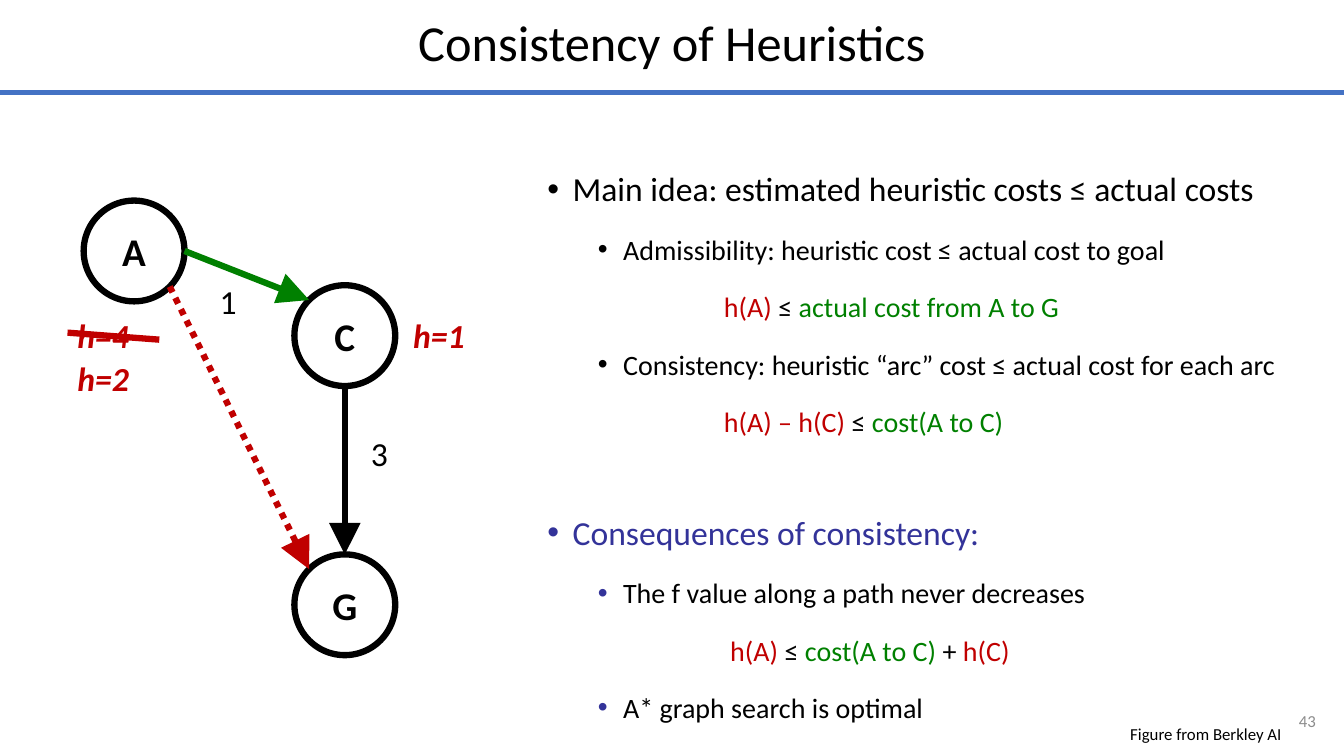
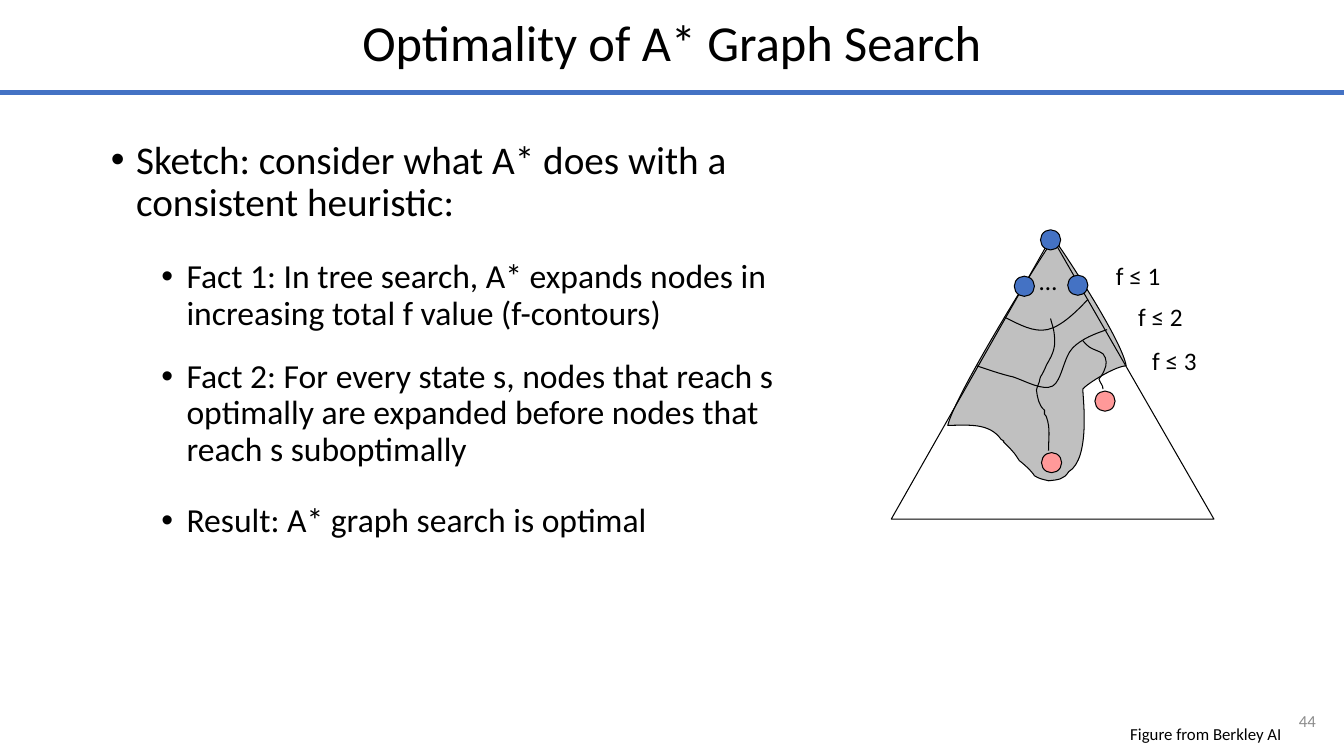
from math import cos, radians, sin

from lxml.etree import SubElement
from pptx import Presentation
from pptx.dml.color import RGBColor
from pptx.enum.dml import MSO_LINE_DASH_STYLE as Dash
from pptx.enum.shapes import MSO_CONNECTOR as Connector, MSO_SHAPE as Shape
from pptx.enum.text import MSO_ANCHOR as Anchor, MSO_AUTO_SIZE as AutoSize, PP_ALIGN as Align
from pptx.oxml.ns import qn
from pptx.util import Inches, Pt

WIDTH, HEIGHT = 13.33, 7.5
FONT = "Calibri"
BLACK, WHITE, GRAY, SILVER = "000000", "FFFFFF", "8C8C8C", "C0C0C0"
BLUE, NAVY, RED, GREEN, PINK = "4472C4", "333399", "C00000", "008000", "FF9999"
CREDIT = "Figure from Berkley AI"

# Lists: (kind, bullet colour, space before, [(text, colour), ...])
CONSISTENCY = [
    ("main", BLACK, 0, [("Main idea: estimated heuristic costs ≤ actual costs", BLACK)]),
    ("sub", BLACK, 5, [("Admissibility: heuristic cost ≤ actual cost to goal", BLACK)]),
    ("formula", None, 5, [("h(A) ", RED), ("≤ ", BLACK), ("actual cost from A to G", GREEN)]),
    ("sub", BLACK, 5,
     [("Consistency: heuristic “arc” cost ≤ actual cost for each arc", BLACK)]),
    ("formula", None, 5, [("h(A) – h(C) ", RED), ("≤ ", BLACK), ("cost(A to C)", GREEN)]),
    ("main", NAVY, 38, [("Consequences of consistency:", NAVY)]),
    ("sub", NAVY, 5, [("The f value along a path never decreases", BLACK)]),
    ("formula", None, 5, [(" h(A) ", RED), ("≤ ", BLACK), ("cost(A to C) ", GREEN),
                          ("+ ", BLACK), ("h(C)", RED)]),
    ("sub", NAVY, 5, [("A* graph search is optimal", BLACK)]),
]
OPTIMALITY = [
    ("main", BLACK, 0, [("Sketch: consider what A* does with a consistent heuristic:", BLACK)]),
    ("sub", BLACK, 25, [("Fact 1: In tree search, A* expands nodes in increasing total "
                         "f value (f-contours)", BLACK)]),
    ("sub", BLACK, 19.5, [("Fact 2: For every state s, nodes that reach s optimally are "
                           "expanded before nodes that reach s suboptimally", BLACK)]),
    ("sub", BLACK, 25, [("Result: A* graph search is optimal", BLACK)]),
]
INDENTS = {"main": (0.25, -0.25), "sub": (0.75, -0.25), "formula": (1.75, 0)}

# Graph: node centres, arrows (from, angle, to, angle, colour, dash), labels
RADIUS = 0.5
NODES = {"A": (1.33, 2.49), "C": (3.42, 3.33), "G": (3.42, 6)}
ARROWS = [
    ("C", 90, "G", 270, BLACK, None),
    ("A", 45, "G", 225, RED, Dash.ROUND_DOT),
    ("A", 0, "C", 225, GREEN, None),
]
COSTS = [("1", 2.08, 2.74), ("3", 3.58, 4.25)]
ESTIMATES = [("h=4", 0.67, 3.08), ("h=2", 0.67, 3.5), ("h=1", 4, 3.08)]

# Search tree: each curve is a start point, then Bezier triples
EXPANDED = [(10.51, 2.45),
            (10.64, 2.64), (11.13, 3.39), (11.17, 3.63),
            (11.07, 3.63), (10.79, 3.8), (10.74, 3.86),
            (10.74, 3.94), (10.82, 4.55), (10.6, 4.68),
            (10.55, 4.76), (10.49, 4.76), (10.4, 4.77),
            (10.32, 4.75), (10.31, 4.75), (10.26, 4.72),
            (10.23, 4.67), (10.15, 4.6), (10.11, 4.57),
            (10.05, 4.48), (10.08, 4.52), (10.01, 4.44),
            (9.88, 4.32), (10.01, 4.41), (9.93, 4.36),
            (9.81, 4.19), (9.6, 4.22), (9.4, 4.22),
            (9.48, 3.91), (10.2, 2.75), (10.39, 2.46),
            (10.57, 2.17), (10.48, 2.45), (10.51, 2.45)]
TRIANGLE = [(8.84, 5.15), (12.04, 5.15), (10.43, 2.35)]
LONG_PATH = [(10.42, 3.16),
             (10.43, 3.2), (10.44, 3.23), (10.45, 3.27),
             (10.48, 3.44), (10.45, 3.5), (10.38, 3.62),
             (10.36, 3.67), (10.34, 3.71), (10.32, 3.74),
             (10.3, 3.81), (10.32, 3.76), (10.3, 3.81),
             (10.29, 3.83), (10.28, 3.87), (10.28, 3.87),
             (10.29, 3.94), (10.3, 4.02), (10.36, 4.07),
             (10.36, 4.09), (10.36, 4.1), (10.36, 4.11),
             (10.37, 4.12), (10.38, 4.13), (10.38, 4.14),
             (10.42, 4.25), (10.4, 4.35), (10.4, 4.47)]
SHORT_PATH = [(10.74, 3.38),
              (10.76, 3.4), (10.77, 3.42), (10.8, 3.44),
              (10.84, 3.47), (10.9, 3.48), (10.94, 3.51),
              (10.98, 3.56), (10.98, 3.62), (10.95, 3.68),
              (10.94, 3.71), (10.9, 3.76), (10.9, 3.76),
              (10.91, 3.8), (10.94, 3.82), (10.94, 3.86)]
CONTOUR_2 = [(10.98, 3.27),
             (10.86, 3.31), (10.73, 3.36), (10.64, 3.45),
             (10.55, 3.54), (10.53, 3.78), (10.44, 3.83),
             (10.34, 3.88), (10.17, 3.78), (10.05, 3.74),
             (9.92, 3.71), (9.81, 3.67), (9.69, 3.63)]
CONTOUR_1 = [(10.79, 2.97),
             (10.66, 3.11), (10.52, 3.24), (10.39, 3.27),
             (10.25, 3.3), (10.11, 3.22), (9.97, 3.15)]
STATES = [(10.42, 2.38, BLUE), (10.16, 2.84, BLUE), (10.69, 2.83, BLUE),
          (10.96, 3.98, PINK), (10.43, 4.59, PINK)]
TREE_LABELS = [("…", 10.21, 2.58, 0.3), ("f ≤ 1", 10.97, 2.53, 0.9),
               ("f ≤ 2", 11.19, 2.94, 0.9), ("f ≤ 3", 11.33, 3.38, 0.9)]


def color(code):
    return RGBColor.from_string(code)


def place(shape, left, top, width, height):
    shape.left, shape.top = Inches(left), Inches(top)
    shape.width, shape.height = Inches(width), Inches(height)


def format_run(span, size, code=BLACK, bold=False, italic=False):
    font = span.font
    font.name, font.size, font.bold, font.italic = FONT, Pt(size), bold, italic
    font.color.rgb = color(code)


def write(shape, text, size, code=BLACK, align=Align.LEFT, anchor=Anchor.TOP,
          wrap=True, spacing=None, **style):
    frame = shape.text_frame
    frame.text = text
    frame.word_wrap, frame.vertical_anchor = wrap, anchor
    frame.auto_size = AutoSize.NONE
    para = frame.paragraphs[0]
    para.alignment, para.line_spacing = align, spacing
    format_run(para.runs[0], size, code, **style)


def add_label(page, text, at, size, code=BLACK, **options):
    box = page.shapes.add_textbox(*map(Inches, at))
    write(box, text, size, code, **options)


def paint(shape, fill, weight):
    shape.shadow.inherit = False
    if fill:
        shape.fill.solid()
        shape.fill.fore_color.rgb = color(fill)
    else:
        shape.fill.background()
    shape.line.color.rgb = color(BLACK)
    shape.line.width = Pt(weight)


def add_circle(page, center, radius, fill, weight):
    x, y = center
    circle = page.shapes.add_shape(
        Shape.OVAL, *map(Inches, (x - radius, y - radius, 2 * radius, 2 * radius)))
    paint(circle, fill, weight)
    return circle


def add_line(page, start, end, code, weight, dash=None, arrow=False):
    line = page.shapes.add_connector(Connector.STRAIGHT, *map(Inches, (*start, *end)))
    line.line.color.rgb = color(code)
    line.line.width = Pt(weight)
    if dash:
        line.line.dash_style = dash
    if arrow:
        SubElement(line.line._get_or_add_ln(), qn("a:tailEnd"),
                   type="triangle", w="lg", len="lg")
    SubElement(line._element.spPr, qn("a:effectLst"))


def add_outline(page, points, fill=None, close=False):
    start, *others = [(Inches(x), Inches(y)) for x, y in points]
    builder = page.shapes.build_freeform(*start)
    builder.add_line_segments(others, close=close)
    outline = builder.convert_to_shape()
    paint(outline, fill, 0.75)
    return outline


def add_curve(page, points, fill=None, close=False):
    """An outline whose points, after the first, are taken in Bezier triples."""
    outline = add_outline(page, points, fill, close)
    segments = list(outline._element.iter(qn("a:lnTo")))
    for first in range(0, len(segments), 3):
        bezier = segments[first].makeelement(qn("a:cubicBezTo"))
        segments[first].addprevious(bezier)
        for segment in segments[first:first + 3]:
            bezier.append(segment[0])
            segment.getparent().remove(segment)


def rim(name, angle):
    x, y = NODES[name]
    return x + RADIUS * cos(radians(angle)), y + RADIUS * sin(radians(angle))


def set_bullet(para, kind, code):
    margin, hanging = INDENTS[kind]
    props = para._p.get_or_add_pPr()
    props.set("marL", str(Inches(margin)))
    props.set("indent", str(Inches(hanging)))
    if code is None:
        SubElement(props, qn("a:buNone"))
        return
    SubElement(SubElement(props, qn("a:buClr")), qn("a:srgbClr"), val=code)
    SubElement(props, qn("a:buFont"), typeface="Arial")
    SubElement(props, qn("a:buChar"), char="•")


def fill_body(page, items, at, main_size, sub_size, spacing):
    body = page.placeholders[1]
    place(body, *at)
    frame = body.text_frame
    frame.auto_size = AutoSize.NONE
    for number, (kind, bullet, before, spans) in enumerate(items):
        para = frame.add_paragraph() if number else frame.paragraphs[0]
        para.level = 0 if kind == "main" else 1
        set_bullet(para, kind, bullet)
        para.line_spacing, para.space_before = spacing, Pt(before)
        for text, code in spans:
            span = para.add_run()
            span.text = text
            format_run(span, main_size if kind == "main" else sub_size, code)


def add_page(deck, title, number):
    """A slide with the shared title, rule, credit and page number."""
    page = deck.slides.add_slide(deck.slide_layouts[1])
    place(page.shapes.title, 0, -0.02, WIDTH, 0.94)
    write(page.shapes.title, title, 36, align=Align.CENTER, anchor=Anchor.MIDDLE, spacing=0.9)
    add_line(page, (0, 0.92), (WIDTH, 0.92), BLUE, 3.75)
    add_label(page, str(number), (12.47, 6.95, 0.68, 0.4), 12, GRAY,
              align=Align.RIGHT, anchor=Anchor.MIDDLE)
    add_label(page, CREDIT, (10.83, 7.15, 1.98, 0.27), 12, align=Align.RIGHT, spacing=0.9)
    return page


def build_consistency(deck):
    page = add_page(deck, "Consistency of Heuristics", 43)
    fill_body(page, CONSISTENCY, (5.33, 1.42, 7.58, 5.83), 24, 20, 1.5)
    for name, center in NODES.items():
        circle = add_circle(page, center, RADIUS, WHITE, 4.5)
        write(circle, name, 28, align=Align.CENTER, anchor=Anchor.MIDDLE, bold=True)
    for start, leave, end, arrive, code, dash in ARROWS:
        add_line(page, rim(start, leave), rim(end, arrive), code, 4.5, dash, arrow=True)
    for text, left, top in COSTS:
        add_label(page, text, (left, top, 0.37, 0.5), 24, wrap=False)
    for text, left, top in ESTIMATES:
        add_label(page, text, (left, top, 0.8, 0.5), 24, RED, wrap=False, bold=True, italic=True)
    # Strike out the old estimate
    add_line(page, (0.67, 3.3), (1.58, 3.37), RED, 4.5)


def build_optimality(deck):
    page = add_page(deck, "Optimality of A* Graph Search", 44)
    fill_body(page, OPTIMALITY, (1, 1.34, 6.83, 4.83), 28, 24, 0.9)
    add_curve(page, EXPANDED, SILVER, close=True)
    add_outline(page, TRIANGLE, close=True)
    for curve in (LONG_PATH, SHORT_PATH, CONTOUR_2, CONTOUR_1):
        add_curve(page, curve)
    for x, y, fill in STATES:
        add_circle(page, (x, y), 0.1, fill, 0.75)
    for text, left, top, width in TREE_LABELS:
        add_label(page, text, (left, top, width, 0.4), 18)


def main():
    deck = Presentation()
    deck.slide_width, deck.slide_height = Inches(WIDTH), Inches(HEIGHT)
    build_consistency(deck)
    build_optimality(deck)
    deck.save("out.pptx")


if __name__ == "__main__":
    main()
